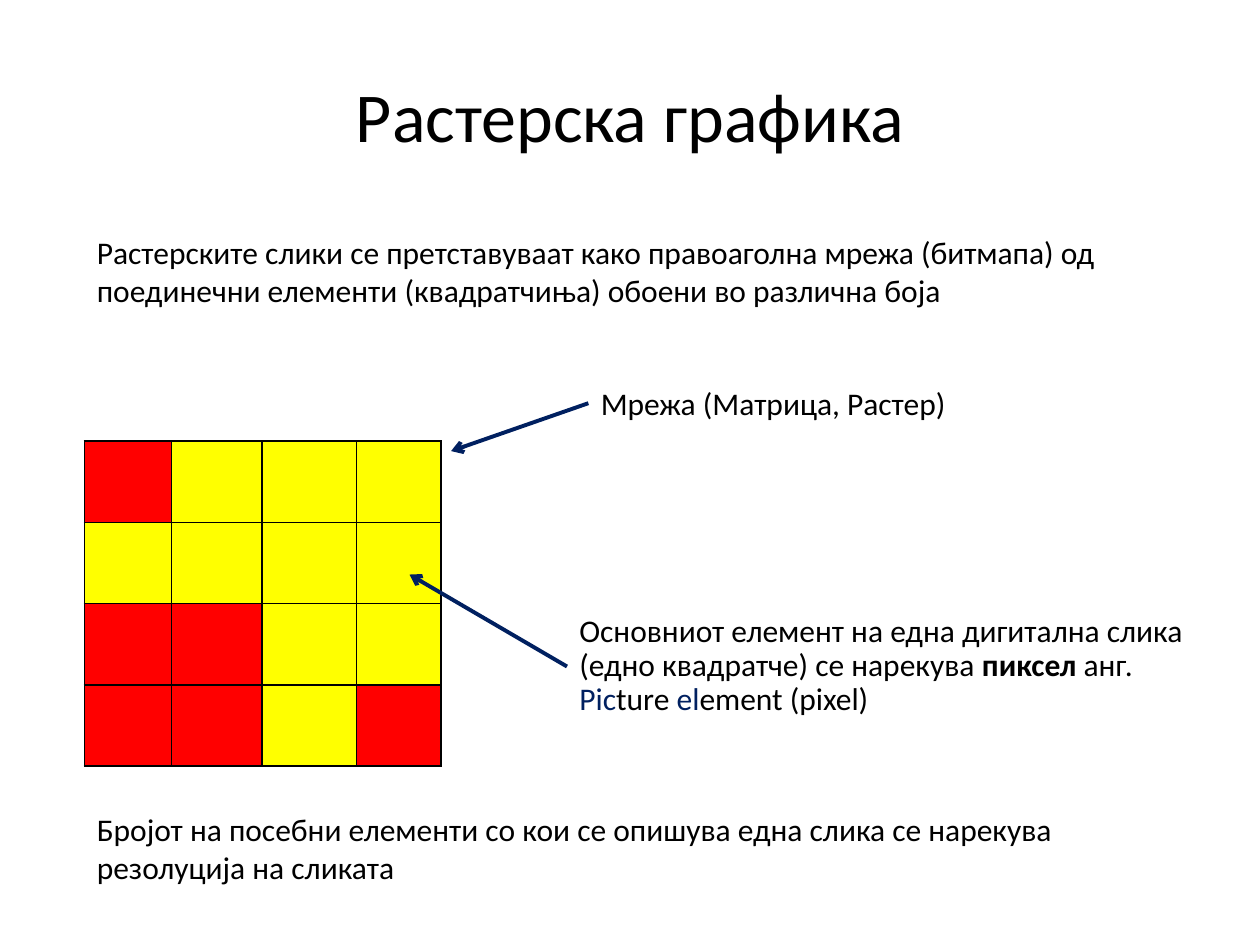
from lxml import etree
from pptx import Presentation
from pptx.dml.color import RGBColor
from pptx.enum import shapes, text
from pptx.oxml import ns
from pptx.util import Inches, Pt

COLORS = {"ink": "000000", "navy": "002060", "R": "FF0000", "Y": "FFFF00"}
PIXELS = ["RYYY", "YYYY", "RRYY", "RRYR"]
COLUMN_WIDTHS = [0.69, 0.72, 0.75, 0.67]
PIXEL_SPANS = [
    ("Основниот елемент на една дигитална слика (едно квадратче) се нарекува ", "ink", False),
    ("пиксел", "ink", True),
    (" анг. ", "ink", False),
    ("Pic", "navy", False),
    ("ture ", "ink", False),
    ("el", "navy", False),
    ("ement (pixel)", "ink", False),
]


def color(name):
    """Return the named colour."""
    return RGBColor.from_string(COLORS[name])


def add_child(parent, tag, **attributes):
    """Append a DrawingML element to the parent."""
    return etree.SubElement(parent, ns.qn(tag), **attributes)


def add_text(page, bounds, spans, size=18, align=text.PP_ALIGN.LEFT,
             anchor=text.MSO_ANCHOR.TOP, line_spacing=1.0):
    """Place one paragraph of coloured spans in the bounds."""
    box = page.shapes.add_textbox(*map(Inches, bounds))
    frame = box.text_frame
    frame.word_wrap = True
    frame.vertical_anchor = anchor
    para = frame.paragraphs[0]
    para.alignment = align
    para.line_spacing = line_spacing
    para.font.size = Pt(size)
    para.font.name = "Calibri"
    for wording, shade, bold in spans:
        span = para.add_run()
        span.text = wording
        span.font.color.rgb = color(shade)
        span.font.bold = bold
    return box


def add_pixel_grid(page, left, top, height):
    """Draw the raster as a table of coloured cells."""
    bounds = map(Inches, (left, top, sum(COLUMN_WIDTHS), height))
    grid = page.shapes.add_table(len(PIXELS), len(COLUMN_WIDTHS), *bounds).table
    grid.first_row = grid.horz_banding = False
    for column, width in zip(grid.columns, COLUMN_WIDTHS):
        column.width = Inches(width)
    for row, pixels in enumerate(PIXELS):
        for column, pixel in enumerate(pixels):
            cell = grid.cell(row, column)
            properties = cell._tc.get_or_add_tcPr()
            for side in ("a:lnL", "a:lnR", "a:lnT", "a:lnB"):
                border = add_child(properties, side, w=str(Pt(1)))
                add_child(add_child(border, "a:solidFill"), "a:srgbClr", val=COLORS["ink"])
            cell.fill.solid()
            cell.fill.fore_color.rgb = color(pixel)


def add_pointer(page, label, target):
    """Draw an arrow from the left side of a label to the target."""
    x, y = map(Inches, target)
    arrow = page.shapes.add_connector(shapes.MSO_CONNECTOR.STRAIGHT, label.left, label.top, x, y)
    arrow.begin_connect(label, 1)
    arrow.line.color.rgb = color("navy")
    arrow.line.width = Pt(2.25)
    add_child(arrow.line._get_or_add_ln(), "a:tailEnd", type="arrow")
    add_child(arrow._element.spPr, "a:effectLst")


def main():
    """Build the raster graphics slide."""
    deck = Presentation()
    deck.slide_width, deck.slide_height = Inches(10), Inches(7.5)
    page = deck.slides.add_slide(deck.slide_layouts[6])

    add_text(page, (0.69, 0.4, 8.62, 0.9), [("Растерска графика", "ink", False)], size=40,
             align=text.PP_ALIGN.CENTER, anchor=text.MSO_ANCHOR.BOTTOM, line_spacing=0.9)
    add_text(page, (0.67, 1.8, 8.67, 0.71), [(
        "Растерските слики се претставуваат како правоаголна мрежа (битмапа) од "
        "поединечни елементи (квадратчиња) обоени во различна боја", "ink", False)])
    add_pixel_grid(page, 0.67, 3.5, 2.58)
    grid_label = add_text(page, (4.67, 3, 3.67, 0.4), [("Мрежа (Матрица, Растер)", "ink", False)])
    add_pointer(page, grid_label, (3.58, 3.58))
    pixel_label = add_text(page, (4.5, 4.83, 5, 0.92), PIXEL_SPANS, line_spacing=0.9)
    add_pointer(page, pixel_label, (3.25, 4.56))
    add_text(page, (0.67, 6.38, 8.67, 0.71), [(
        "Бројот на посебни елементи со кои се опишува една слика се нарекува "
        "резолуција на сликата", "ink", False)])

    deck.save("out.pptx")


if __name__ == "__main__":
    main()
